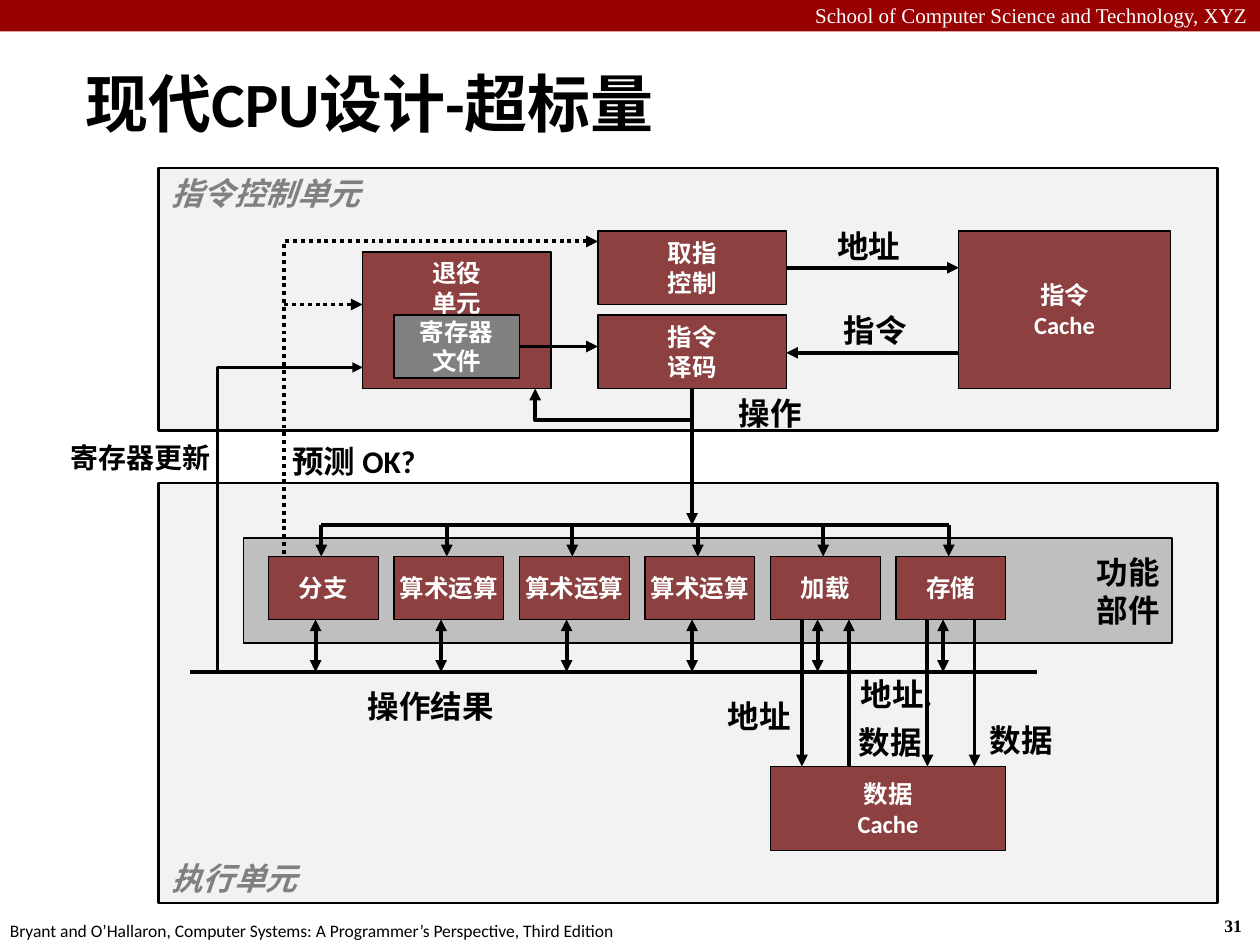
from lxml.etree import SubElement
from pptx import Presentation
from pptx.dml.color import RGBColor
from pptx.enum.dml import MSO_LINE
from pptx.enum.shapes import MSO_CONNECTOR, MSO_SHAPE
from pptx.enum.text import MSO_ANCHOR, PP_ALIGN
from pptx.oxml.ns import qn
from pptx.util import Inches, Pt

COLORS = {
    "banner": "990000", "unit": "8C4040", "panel": "F2F2F2", "band": "BFBFBF",
    "gray": "808080", "black": "000000", "white": "FFFFFF",
}
ORIGIN, COLUMN, ROW = 1.26, 0.1245, 1 / 12
LEFT, CENTER, RIGHT = PP_ALIGN.LEFT, PP_ALIGN.CENTER, PP_ALIGN.RIGHT
TOP, MIDDLE, BOTTOM = MSO_ANCHOR.TOP, MSO_ANCHOR.MIDDLE, MSO_ANCHOR.BOTTOM

deck = Presentation()
deck.slide_width, deck.slide_height = Inches(10), Inches(7.5)
page = deck.slides.add_slide(deck.slide_layouts[6])


def draw_box(area, text, color="black", fill=None, border=0, align=CENTER,
             anchor=TOP, wrap=False, **font):
    """Draw a rectangle, or a text box when it has no fill; area is in inches."""
    place = [Inches(value) for value in area]
    if fill:
        box = page.shapes.add_shape(MSO_SHAPE.RECTANGLE, *place)
        box.shadow.inherit = False
        box.fill.solid()
        box.fill.fore_color.rgb = RGBColor.from_string(COLORS[fill])
        if border:
            box.line.color.rgb = RGBColor.from_string(COLORS["black"])
            box.line.width = Pt(border)
        else:
            box.line.fill.background()
    else:
        box = page.shapes.add_textbox(*place)
    frame = box.text_frame
    frame.word_wrap, frame.vertical_anchor = wrap, anchor
    for index, words in enumerate(text.split("\n") if text else []):
        para = frame.paragraphs[0] if index == 0 else frame.add_paragraph()
        para.alignment = align
        span = para.add_run()
        span.text = words
        span.font.color.rgb = RGBColor.from_string(COLORS[color])
        for name, value in {"name": "Calibri", "bold": True, **font}.items():
            setattr(span.font, name, value)


def draw_line(points, ends=("tail",), width=2.25, dotted=False):
    """Draw a line through grid points, with arrowheads at the named ends."""
    spots = [(Inches(ORIGIN + column * COLUMN), Inches(row * ROW))
             for column, row in points]
    if len(spots) == 2:
        line = page.shapes.add_connector(MSO_CONNECTOR.STRAIGHT, *spots[0], *spots[1])
    else:
        builder = page.shapes.build_freeform(*spots[0])
        builder.add_line_segments(spots[1:], close=False)
        line = builder.convert_to_shape()
        line.fill.background()
        line.shadow.inherit = False
    line.line.color.rgb = RGBColor.from_string(COLORS["black"])
    line.line.width = Pt(width)
    if dotted:
        line.line.dash_style = MSO_LINE.ROUND_DOT
    properties = line.element.spPr
    for end in ends:
        SubElement(properties.find(qn("a:ln")), qn(f"a:{end}End"), type="triangle")
    if len(spots) == 2:
        SubElement(properties, qn("a:effectLst"))


# Page frame and title, in inches
draw_box((0, 0, 10, 0.25), "", fill="banner")
draw_box((0, -0.03, 10, 0.3), "School of Computer Science and Technology, XYZ",
         "white", align=RIGHT, wrap=True, name="Times New Roman", size=Pt(12), bold=False)
draw_box((9.62, 7.21, 0.37, 0.27), "31", align=LEFT, name="Times New Roman", size=Pt(10))
draw_box((-0.02, 7.25, 5.08, 0.27),
         "Bryant and O’Hallaron, Computer Systems: A Programmer’s Perspective, Third Edition",
         align=LEFT, size=Pt(10), bold=False)
draw_box((0.58, 0.5, 6.41, 0.63), "现代CPU设计-超标量", align=LEFT, anchor=MIDDLE,
         wrap=True, size=Pt(36))

# Panels and units, in grid columns and rows
panel = {"fill": "panel", "border": 1.5, "color": "gray", "align": LEFT,
         "wrap": True, "size": Pt(18), "italic": True}
band = {"fill": "band", "border": 0.75, "align": RIGHT, "anchor": MIDDLE,
        "wrap": True, "size": Pt(18)}
unit = {"fill": "unit", "border": 0.75, "color": "white", "anchor": MIDDLE, "size": Pt(14)}
functions = ["分支", "算术运算", "算术运算", "算术运算", "加载", "存储"]
blocks = [
    ((0, 46, 67.5, 40), "执行单元", {**panel, "anchor": BOTTOM}),
    ((5.4, 51.25, 59.2, 10), "功能\n部件", band),
    ((0, 16, 67.5, 25), "指令控制单元", panel),
    ((51, 22, 13.5, 15), "指令\nCache", unit),
    ((39, 73, 15, 8), "数据\nCache", unit),
    ((28, 22, 12, 7), "取指\n控制", unit),
    ((28, 30, 12, 7), "指令\n译码", unit),
    ((13, 24, 12, 13), "退役\n单元", {**unit, "anchor": TOP}),
    ((15, 30, 8, 6), "寄存器\n文件", {**unit, "fill": "gray"}),
]
blocks += [((7 + 8 * index, 53, 7, 6), name, unit) for index, name in enumerate(functions)]
for (column, row, columns, rows), text, style in blocks:
    draw_box((ORIGIN + column * COLUMN, row * ROW, columns * COLUMN, rows * ROW),
             text, **style)

# Instruction control
draw_line([(40, 25.5), (51, 25.5)])
draw_line([(51, 33.6), (40, 33.6)])
draw_line([(23, 33), (28, 33)])
draw_line([(34, 37), (34, 50)])
draw_line([(34, 40), (24, 40), (24, 37)])
draw_line([(28, 23), (8, 23), (8, 53)], ends=("head",), dotted=True)
draw_line([(8, 29), (13, 29)], dotted=True)
draw_line([(13, 35), (3.75, 35), (3.75, 64)], ends=("head",), width=1.5)

# Operation and result buses with one branch per functional unit
draw_line([(10.36, 50), (50.36, 50)], ends=())
draw_line([(2, 64), (56, 64)], ends=())
for index in range(len(functions)):
    draw_line([(10.36 + 8 * index, 50), (10.36 + 8 * index, 53)])
    draw_line([(10 + 8 * index, 59), (10 + 8 * index, 64)], ends=("head", "tail"))

# Data cache traffic
for column, start, finish in [(41, 59, 73), (44, 73, 59), (49, 59, 73), (52, 59, 73)]:
    draw_line([(column, start), (column, finish)])

# Signal labels: left, top and width in inches
labels = [
    (6.48, 1.75, 0.83, "地址", CENTER), (6.53, 2.42, 0.83, "指令", CENTER),
    (5.7, 3.08, 0.83, "操作", CENTER), (2.22, 3.46, 1.41, "预测 OK?", LEFT),
    (7.69, 5.67, 0.83, "数据", CENTER), (6.65, 5.69, 0.83, "数据", CENTER),
    (5.61, 5.48, 0.83, "地址", CENTER), (6.66, 5.31, 0.91, "地址.", CENTER),
    (2.82, 5.4, 1.43, "操作结果", LEFT),
]
for left, top, width, text, align in labels:
    draw_box((left, top, width, 0.4), text, align=align, size=Pt(18))
draw_box((0.21, 3.45, 1.56, 0.37), "寄存器更新", align=RIGHT, size=Pt(16))

deck.save("out.pptx")
